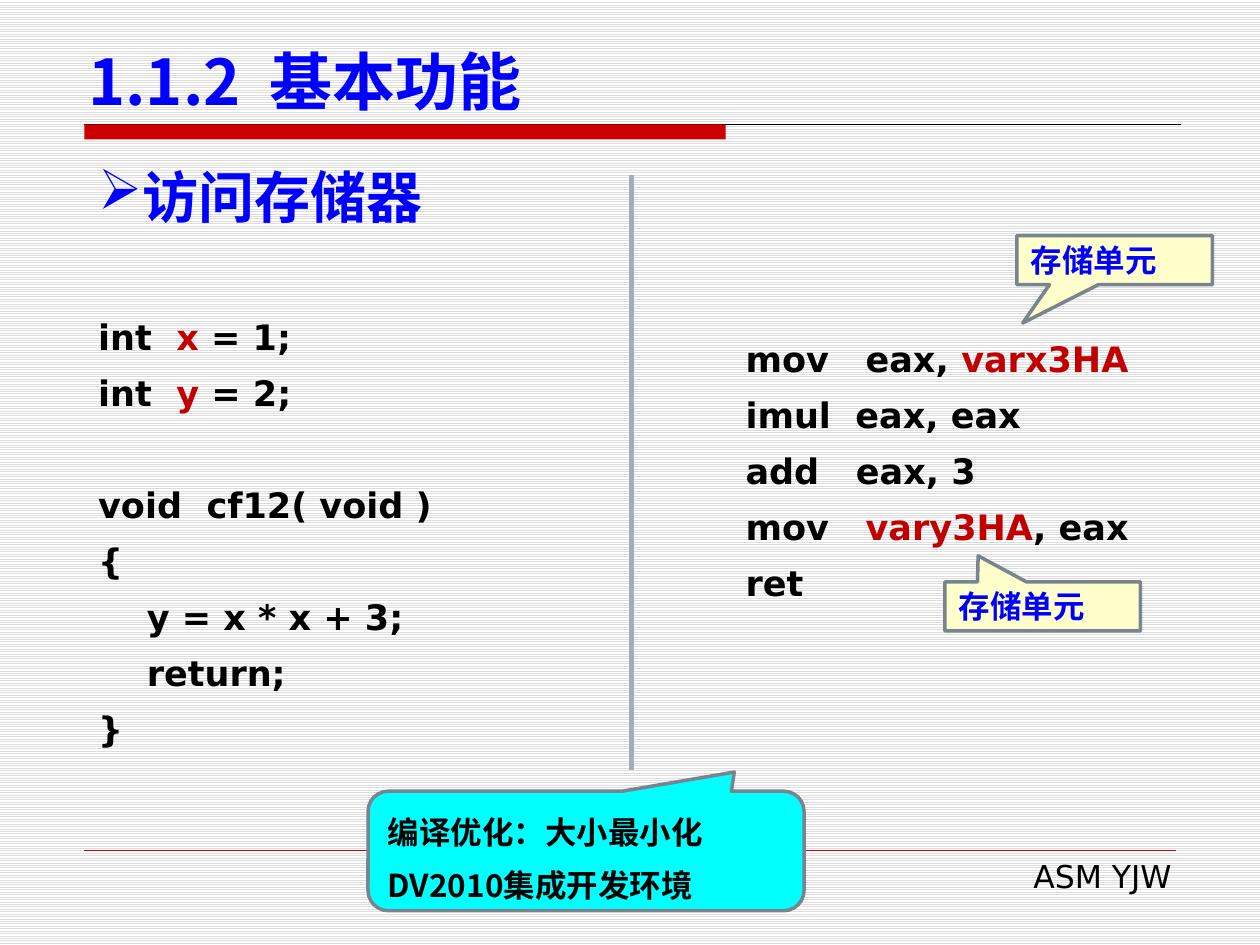
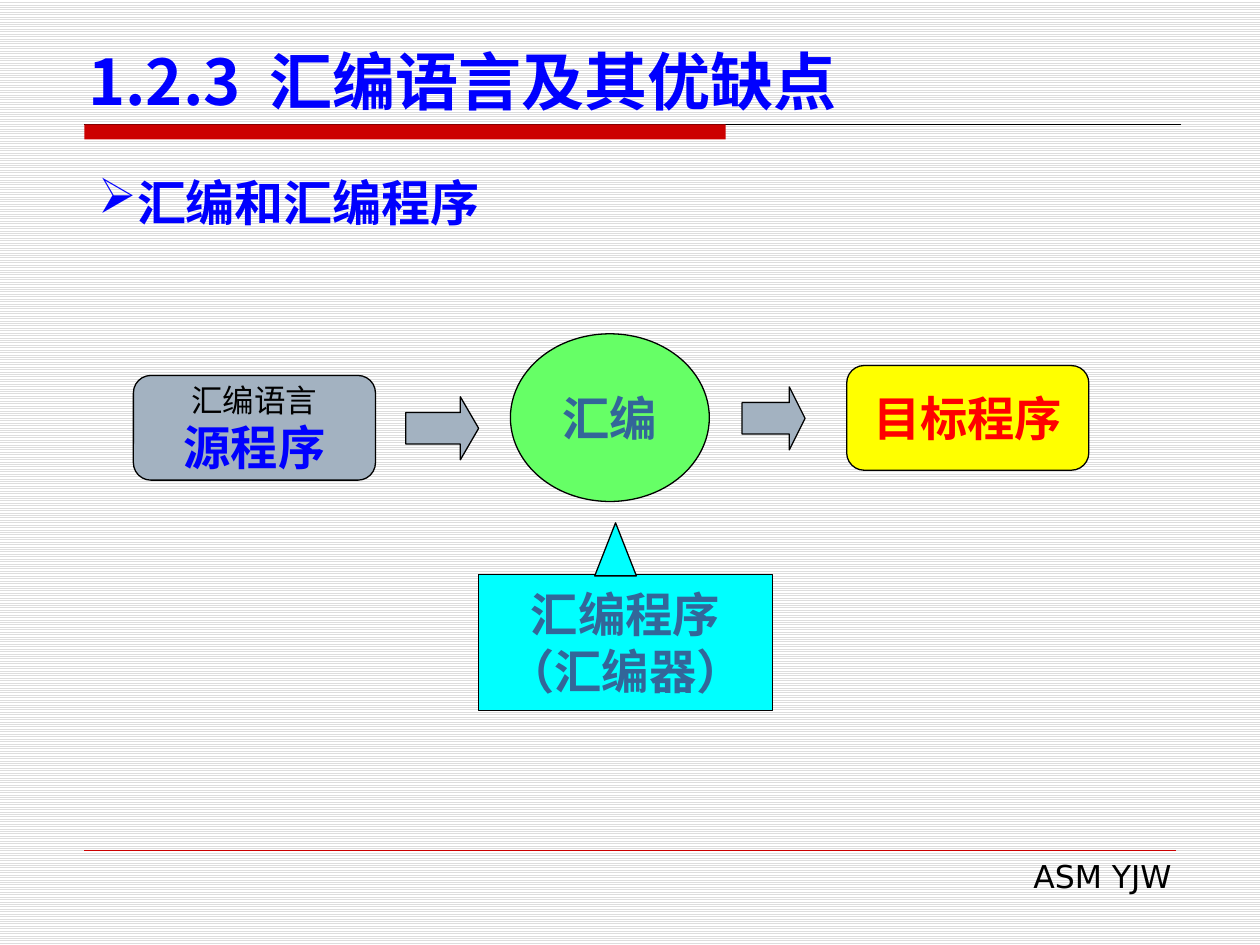
from dataclasses import dataclass

from lxml import etree
from pptx import Presentation
from pptx.dml.color import RGBColor
from pptx.enum.dml import MSO_PATTERN
from pptx.enum.shapes import MSO_CONNECTOR, MSO_SHAPE
from pptx.enum.text import MSO_ANCHOR, MSO_AUTO_SIZE, PP_ALIGN
from pptx.oxml.ns import qn
from pptx.shapes.autoshape import Shape
from pptx.slide import Slide
from pptx.text.text import TextFrame
from pptx.util import Cm, Pt

STRAIGHT = MSO_CONNECTOR.STRAIGHT
RECT, ELLIPSE = MSO_SHAPE.RECTANGLE, MSO_SHAPE.OVAL
ARROW, TRIANGLE = MSO_SHAPE.RIGHT_ARROW, MSO_SHAPE.ISOSCELES_TRIANGLE
PROCESS = MSO_SHAPE.FLOWCHART_ALTERNATE_PROCESS
SQUARE_CALLOUT = MSO_SHAPE.RECTANGULAR_CALLOUT
ROUND_CALLOUT = MSO_SHAPE.ROUNDED_RECTANGULAR_CALLOUT
LEFT, CENTER, RIGHT = PP_ALIGN.LEFT, PP_ALIGN.CENTER, PP_ALIGN.RIGHT
TOP, MIDDLE, BOTTOM = MSO_ANCHOR.TOP, MSO_ANCHOR.MIDDLE, MSO_ANCHOR.BOTTOM
NO_RESIZE, GROW = MSO_AUTO_SIZE.NONE, MSO_AUTO_SIZE.SHAPE_TO_FIT_TEXT
LIGHT_HORIZONTAL = MSO_PATTERN.LIGHT_HORIZONTAL

BLACK = RGBColor(0x00, 0x00, 0x00)
WHITE = RGBColor(0xFF, 0xFF, 0xFF)
STRIPE = RGBColor(0xDD, 0xDD, 0xDD)
BAND_RED = RGBColor(0xCC, 0x00, 0x00)
VARIABLE_RED = RGBColor(0xC0, 0x00, 0x00)
TARGET_RED = RGBColor(0xFF, 0x00, 0x00)
BLUE = RGBColor(0x00, 0x00, 0xFF)
STEEL = RGBColor(0x33, 0x66, 0x99)
DIVIDER = RGBColor(0x9F, 0xAE, 0xBD)
CALLOUT_EDGE = RGBColor(0x79, 0x84, 0x8F)
CYAN = RGBColor(0x00, 0xFF, 0xFF)
CREAM = RGBColor(0xFF, 0xFF, 0xCC)
GREEN = RGBColor(0x66, 0xFF, 0x66)
GREY_BLUE = RGBColor(0xA3, 0xB2, 0xC1)
YELLOW = RGBColor(0xFF, 0xFF, 0x00)

SANS, CJK, SERIF = "DejaVu Sans", "Noto Sans CJK SC", "Times New Roman"


@dataclass(frozen=True)
class Style:
    size: float
    color: RGBColor = BLACK
    font: str = SANS
    bold: bool = True
    align: PP_ALIGN = LEFT
    spacing: float | None = None


@dataclass(frozen=True)
class Line:
    text: str
    style: Style
    variable: str = ""
    indent: float = 0
    before: float = 0
    bullet: str = ""


@dataclass(frozen=True)
class Box:
    left: float
    top: float
    width: float
    height: float


@dataclass(frozen=True)
class Figure:
    kind: MSO_SHAPE
    box: Box
    fill: RGBColor
    lines: tuple[Line, ...] = ()
    adjustments: tuple[float, ...] = ()
    edge: RGBColor = BLACK
    edge_width: float = 0.75
    wrap: bool = False


TITLE = Style(36, BLUE, CJK)
FOOTER = Style(18, bold=False, align=RIGHT)
CODE = Style(20, spacing=32)
MEMORY = Style(18, BLUE)
COMPILER = Style(18, spacing=30)
COMPILER_TOOL = Style(18, font=CJK, spacing=30)
LANGUAGE = Style(18, font=SERIF, bold=False, align=CENTER)
SOURCE = Style(27, BLUE, SERIF, align=CENTER)
ASSEMBLY = Style(27, STEEL, SERIF, align=CENTER)
TARGET = Style(27, TARGET_RED, SERIF, align=CENTER)

C_CODE = (
    Line("int  x = 1;", CODE, variable="x"),
    Line("int  y = 2;", CODE, variable="y"),
    Line("void  cf12( void )", CODE, before=32),
    Line("{", CODE),
    Line("y = x * x + 3;", CODE, indent=0.98),
    Line("return;", CODE, indent=0.98),
    Line("}", CODE),
)
ASM_CODE = (
    Line("mov   eax, varx3HA", CODE, variable="varx3HA", indent=0.25),
    Line("imul  eax, eax", CODE, indent=0.25),
    Line("add   eax, 3", CODE, indent=0.25),
    Line("mov   vary3HA, eax", CODE, variable="vary3HA", indent=0.25),
    Line("ret", CODE, indent=0.25),
)


def memory_callout(left: float, top: float, tip: tuple[float, float]) -> Figure:
    return Figure(SQUARE_CALLOUT, Box(left, top, 3.94, 0.99), CREAM,
                  (Line("存储单元", MEMORY),), tip, CALLOUT_EDGE, 2, True)


CALLOUTS = (
    Figure(ROUND_CALLOUT, Box(7.42, 15.95, 8.79, 2.41), CYAN,
           (Line("编译优化：大小最小化", COMPILER),
            Line("DV2010集成开发环境", COMPILER_TOOL)),
           (0.34, -0.66, 0.17), CALLOUT_EDGE, 2, True),
    memory_callout(20.5, 4.75, (-0.47, 1.28)),
    memory_callout(19.05, 11.73, (-0.33, -1.03)),
)
ASSEMBLY_FLOW = (
    Figure(ELLIPSE, Box(10.29, 6.73, 4.01, 3.38), GREEN, (Line("汇编", ASSEMBLY),)),
    Figure(ARROW, Box(8.18, 8, 1.47, 1.27), GREY_BLUE, adjustments=(0.5, 0.29)),
    Figure(ARROW, Box(14.96, 7.8, 1.27, 1.27), GREY_BLUE, adjustments=(0.5, 0.25)),
    Figure(PROCESS, Box(2.69, 7.57, 4.88, 2.11), GREY_BLUE,
           (Line("汇编语言", LANGUAGE), Line("源程序", SOURCE))),
    Figure(PROCESS, Box(17.07, 7.37, 4.88, 2.11), YELLOW, (Line("目标程序", TARGET),)),
    Figure(RECT, Box(9.65, 11.58, 5.92, 2.74), CYAN,
           (Line("汇编程序", ASSEMBLY), Line("（汇编器）", ASSEMBLY))),
    Figure(TRIANGLE, Box(11.99, 10.54, 0.84, 1.07), CYAN),
)


def write(frame: TextFrame, lines: tuple[Line, ...], anchor: MSO_ANCHOR,
          wrap: bool = True) -> None:
    frame.word_wrap = wrap
    frame.vertical_anchor = anchor
    frame.margin_left = frame.margin_right = Cm(0.28)
    frame.margin_top = frame.margin_bottom = Cm(0.15)
    for index, line in enumerate(lines):
        paragraph = frame.add_paragraph() if index else frame.paragraphs[0]
        style = line.style
        paragraph.alignment = style.align
        if style.spacing:
            paragraph.line_spacing = Pt(style.spacing)
        paragraph.space_before = Pt(line.before)
        font = paragraph.font
        font.name, font.size, font.bold = style.font, Pt(style.size), style.bold
        font.color.rgb = style.color
        properties = paragraph._p.get_or_add_pPr()
        properties.set("marL", str(Cm(line.indent)))
        properties.set("indent", "0")
        if line.bullet:
            bullet = etree.Element(qn("a:buChar"), char=line.bullet)
            properties.find(qn("a:defRPr")).addprevious(bullet)
        if line.variable:
            head, tail = line.text.split(line.variable, 1)
            for part in filter(None, (head, line.variable, tail)):
                run = paragraph.add_run()
                run.text = part
                if part == line.variable:
                    run.font.color.rgb = VARIABLE_RED
        else:
            paragraph.add_run().text = line.text


def place(box: Box) -> tuple[Cm, Cm, Cm, Cm]:
    return Cm(box.left), Cm(box.top), Cm(box.width), Cm(box.height)


def add_text(slide: Slide, box: Box, *lines: Line, anchor: MSO_ANCHOR = TOP) -> None:
    frame = slide.shapes.add_textbox(*place(box)).text_frame
    write(frame, lines, anchor)
    frame.auto_size = GROW


def add_heading(slide: Slide, text: str, top: float, size: float) -> None:
    add_text(slide, Box(1.7, top, 22, 1.5), Line(text, Style(size, BLUE), bullet="➢"))


def add_rule(slide: Slide, start: tuple[float, float], end: tuple[float, float],
             color: RGBColor, width: float) -> None:
    rule = slide.shapes.add_connector(STRAIGHT, *map(Cm, start + end))
    rule.line.color.rgb = color
    rule.line.width = Pt(width)
    etree.SubElement(rule._element.spPr, qn("a:effectLst"))


def add_figure(slide: Slide, figure: Figure) -> Shape:
    shape = slide.shapes.add_shape(figure.kind, *place(figure.box))
    shape.shadow.inherit = False
    shape.fill.solid()
    shape.fill.fore_color.rgb = figure.fill
    shape.line.color.rgb = figure.edge
    shape.line.width = Pt(figure.edge_width)
    for index, value in enumerate(figure.adjustments):
        shape.adjustments[index] = value
    if figure.lines:
        write(shape.text_frame, figure.lines, MIDDLE, figure.wrap)
    return shape


def add_titled_slide(prs: Presentation, heading: str) -> Slide:
    slide = prs.slides.add_slide(prs.slide_layouts[5])
    add_rule(slide, (1.7, 2.51), (23.8, 2.51), BLACK, 0.75)
    band = add_figure(slide, Figure(RECT, Box(1.7, 2.51, 12.93, 0.3), BAND_RED))
    band.line.fill.background()
    add_rule(slide, (1.7, 17.15), (23.7, 17.15), BAND_RED, 0.25)
    add_text(slide, Box(9.7, 17.12, 14.2, 1.07), Line("ASM YJW", FOOTER))
    title = slide.shapes.title
    title.left, title.top, title.width, title.height = place(Box(1.5, 0.74, 23.01, 1.8))
    write(title.text_frame, (Line(heading, TITLE),), BOTTOM)
    title.text_frame.auto_size = NO_RESIZE
    return slide


def add_memory_access(prs: Presentation) -> None:
    slide = add_titled_slide(prs, "1.1.2  基本功能")
    add_text(slide, Box(1.7, 5.92, 11.99, 9.27), *C_CODE)
    add_text(slide, Box(14.5, 6.25, 10.21, 6.17), *ASM_CODE, anchor=MIDDLE)
    add_heading(slide, "访问存储器", 3.12, 32)
    add_rule(slide, (12.73, 3.53), (12.73, 15.52), DIVIDER, 3)
    for callout in CALLOUTS:
        add_figure(slide, callout)


def add_assembly_process(prs: Presentation) -> None:
    slide = add_titled_slide(prs, "1.2.3  汇编语言及其优缺点")
    add_heading(slide, "汇编和汇编程序", 3.33, 28)
    for figure in ASSEMBLY_FLOW:
        add_figure(slide, figure)


def main() -> None:
    prs = Presentation()
    prs.slide_width, prs.slide_height = Cm(25.4), Cm(19.05)
    paper = prs.slide_master.background.fill
    paper.patterned()
    paper.pattern = LIGHT_HORIZONTAL
    paper.fore_color.rgb, paper.back_color.rgb = STRIPE, WHITE
    add_memory_access(prs)
    add_assembly_process(prs)
    prs.save("out.pptx")


if __name__ == "__main__":
    main()
